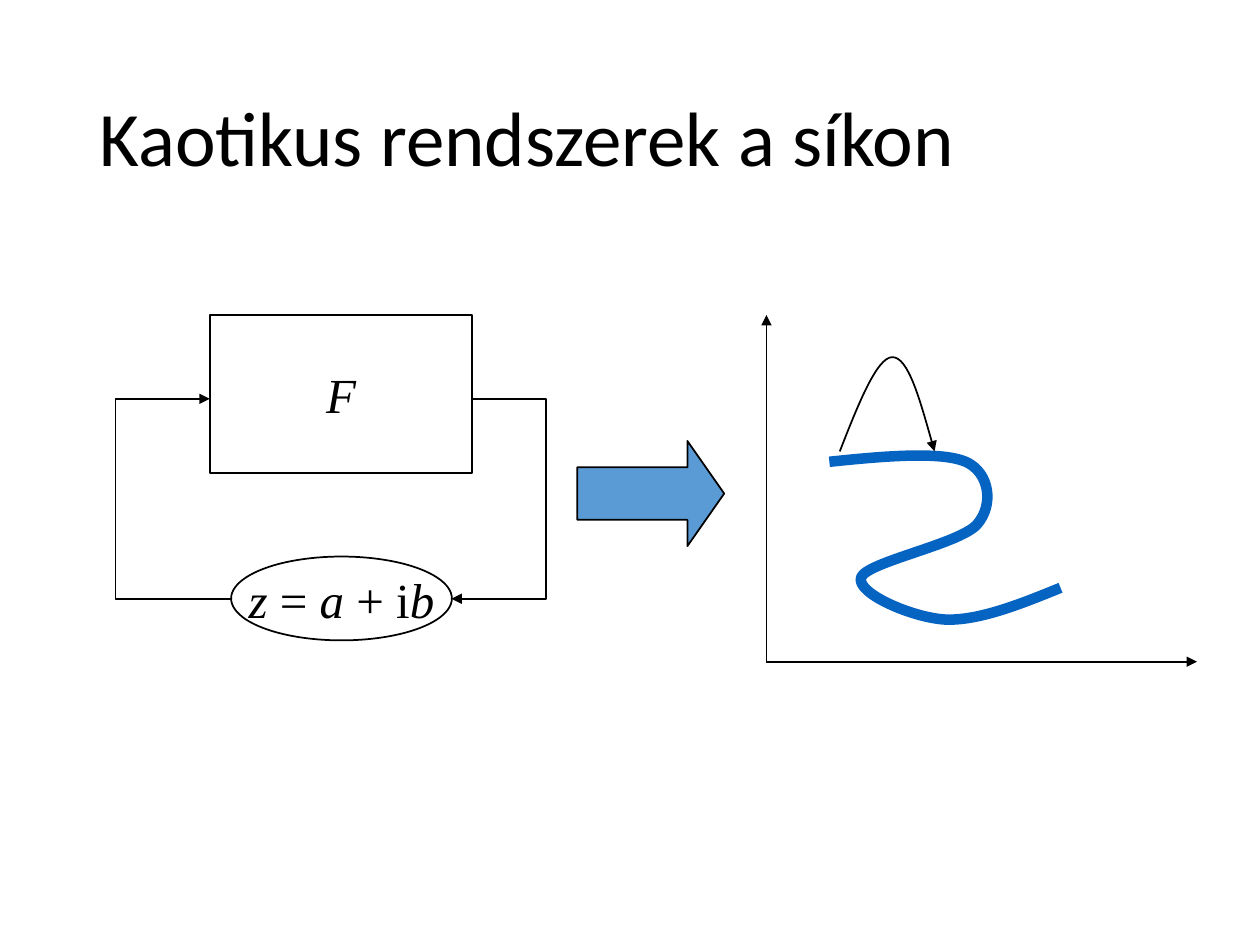
"""Build a slide that shows a feedback loop on complex numbers and its path in the plane."""
from dataclasses import dataclass

from lxml import etree
from pptx import Presentation
from pptx.dml.color import RGBColor
from pptx.enum.shapes import MSO_CONNECTOR, MSO_SHAPE
from pptx.enum.text import MSO_ANCHOR, PP_ALIGN
from pptx.oxml.ns import qn
from pptx.util import Cm, Pt

LEFT, CENTER = PP_ALIGN.LEFT, PP_ALIGN.CENTER
MIDDLE = MSO_ANCHOR.MIDDLE
STRAIGHT = MSO_CONNECTOR.STRAIGHT
RECTANGLE, OVAL, RIGHT_ARROW = MSO_SHAPE.RECTANGLE, MSO_SHAPE.OVAL, MSO_SHAPE.RIGHT_ARROW


@dataclass(frozen=True)
class Theme:
    ink: RGBColor = RGBColor(0x00, 0x00, 0x00)
    arrow: RGBColor = RGBColor(0x5B, 0x9B, 0xD5)
    orbit: RGBColor = RGBColor(0x05, 0x63, 0xC1)
    title_font: str = "Calibri"
    math_font: str = "Times New Roman"
    title_size: Pt = Pt(44)
    math_size: Pt = Pt(28)
    thin: Pt = Pt(1)
    thick: Pt = Pt(6)


theme = Theme()


def write(shape, text, font=theme.math_font, size=theme.math_size, italic=False, align=CENTER, wrap=False):
    frame = shape.text_frame
    frame.word_wrap = wrap
    frame.vertical_anchor = MIDDLE
    paragraph = frame.paragraphs[0]
    paragraph.alignment = align
    run = paragraph.add_run()
    run.text = text
    run.font.name = font
    run.font.size = size
    run.font.italic = italic
    run.font.color.rgb = theme.ink


def draw_line(shape, color=theme.ink, width=theme.thin, arrowhead=False):
    shape.line.color.rgb = color
    shape.line.width = width
    if arrowhead:
        line = shape.line._get_or_add_ln()
        etree.SubElement(line, qn("a:tailEnd"), type="triangle")


presentation = Presentation()
presentation.slide_width, presentation.slide_height = Cm(25.4), Cm(19.05)
slide = presentation.slides.add_slide(presentation.slide_layouts[5])
shapes = slide.shapes

title = shapes.title
title.left, title.top, title.width, title.height = Cm(1.75), Cm(1.01), Cm(21.91), Cm(3.68)
write(title, "Kaotikus rendszerek a síkon", font=theme.title_font, size=theme.title_size, align=LEFT, wrap=True)
title.text_frame.paragraphs[0].line_spacing = 0.9

blocks = [
    (RECTANGLE, (4.23, 6.35, 5.29, 3.18), None, [("F", True)]),
    (OVAL, (4.66, 11.22, 4.45, 1.69), None,
     [("z", True), (" = ", False), ("a ", True), ("+ i", False), ("b", True)]),
    (RIGHT_ARROW, (11.64, 8.89, 2.96, 2.12), theme.arrow, []),
]
for kind, box, fill, runs in blocks:
    block = shapes.add_shape(kind, *map(Cm, box))
    block.shadow.inherit = False
    if fill is None:
        block.fill.background()
    else:
        block.fill.solid()
        block.fill.fore_color.rgb = fill
    draw_line(block)
    for text, italic in runs:
        write(block, text, italic=italic)
    if kind == RIGHT_ARROW:
        block.adjustments[0], block.adjustments[1] = 0.5, 0.35

origin = (15.45, 13.34)
for axis_end in [(15.45, 6.35), (24.13, 13.34)]:
    axis = shapes.add_connector(STRAIGHT, *map(Cm, origin + axis_end))
    etree.SubElement(axis._element.spPr, qn("a:effectLst"))
    draw_line(axis, arrowhead=True)
    axis._element.spPr.append(axis._element.spPr.find(qn("a:effectLst")))

feedback_in = [(4.66, 12.07), (2.33, 12.07), (2.33, 8.04), (4.23, 8.04)]
feedback_out = [(9.53, 8.04), (11.01, 8.04), (11.01, 12.07), (9.1, 12.07)]
orbit = [
    (16.72, 9.31),
    (17.86, 9.19), (18.97, 9.1), (19.47, 9.31),
    (19.96, 9.53), (20.04, 10.19), (19.69, 10.58),
    (19.33, 10.97), (17.48, 11.33), (17.36, 11.64),
    (17.25, 11.96), (18.39, 12.45), (19.05, 12.49),
    (19.71, 12.52), (20.55, 12.19), (21.38, 11.85),
]
jump = [(16.93, 9.1), (17.3, 8.15), (17.68, 7.2), (17.99, 7.2), (18.31, 7.2), (18.57, 8.15), (18.84, 9.1)]

outlines = [
    (feedback_in, False, {"arrowhead": True}),
    (feedback_out, False, {"arrowhead": True}),
    (orbit, True, {"color": theme.orbit, "width": theme.thick}),
    (jump, True, {"arrowhead": True}),
]
for points, curved, line_format in outlines:
    start, *rest = [(Cm(x), Cm(y)) for x, y in points]
    builder = shapes.build_freeform(*start)
    builder.add_line_segments(rest, close=False)
    outline = builder.convert_to_shape()
    outline.shadow.inherit = False
    outline.fill.background()
    draw_line(outline, **line_format)
    if curved:
        curve = next(outline._element.iter(qn("a:path")))
        segments = curve.findall(qn("a:lnTo"))
        for first in range(0, len(segments), 3):
            bezier = etree.SubElement(curve, qn("a:cubicBezTo"))
            for segment in segments[first:first + 3]:
                bezier.append(segment[0])
                curve.remove(segment)

presentation.save("out.pptx")
